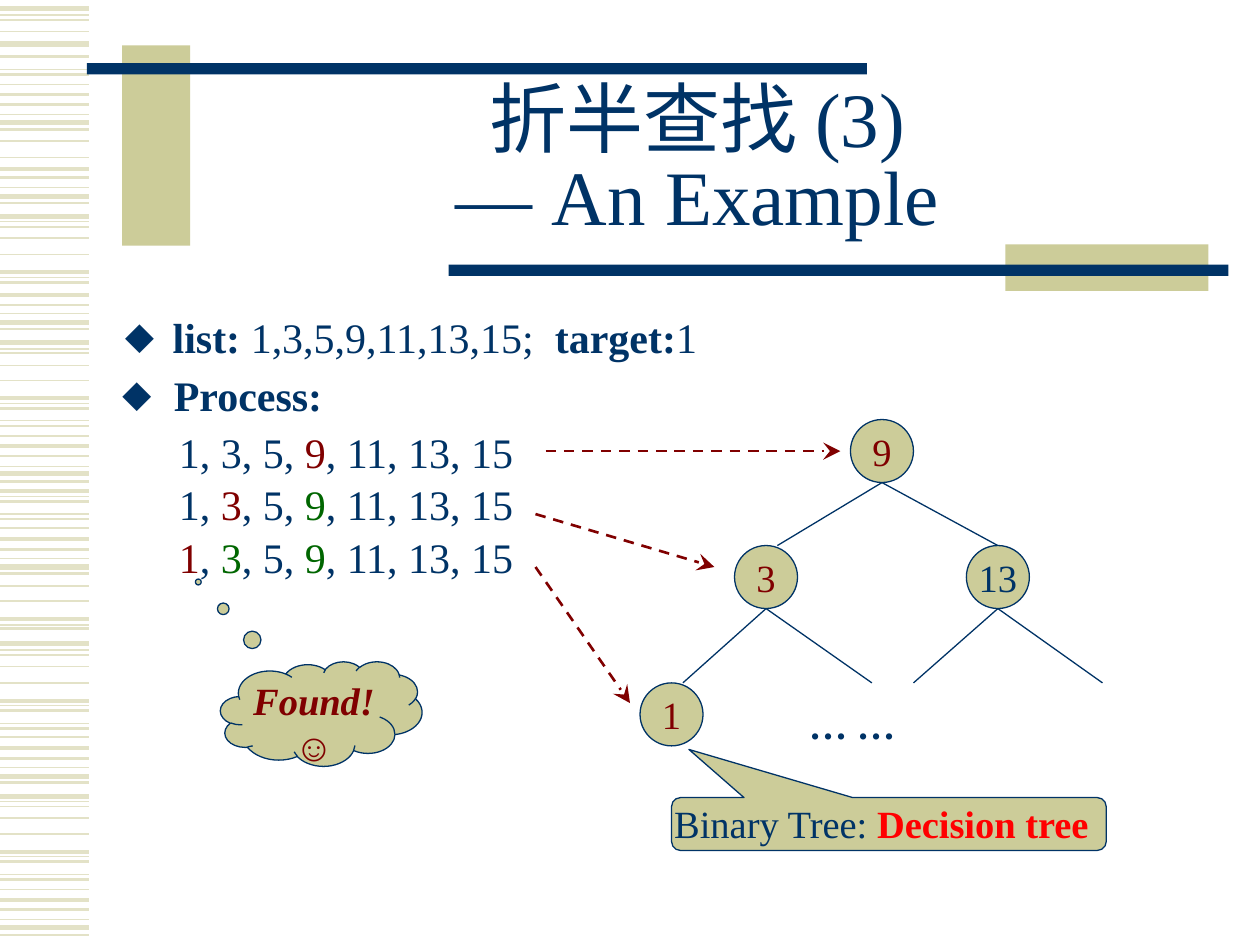
import collections
import pptx
import pptx.dml.color
import pptx.enum.dml
import pptx.enum.shapes
import pptx.enum.text
import pptx.oxml.ns
import pptx.util
from lxml import etree
from pptx.util import Inches

RGBColor = pptx.dml.color.RGBColor
NAVY = RGBColor(0x00, 0x33, 0x66)
KHAKI = RGBColor(0xCC, 0xCC, 0x99)
PALE = RGBColor(0xE3, 0xE2, 0xC7)
MAROON = RGBColor(0x80, 0x00, 0x00)
GREEN = RGBColor(0x00, 0x66, 0x00)
RED = RGBColor(0xFF, 0x00, 0x00)
FONT = "Times New Roman"
BULLET_FONT = "Arial"
SHAPE = pptx.enum.shapes.MSO_SHAPE
ALIGN = pptx.enum.text.PP_ALIGN
ANCHOR = pptx.enum.text.MSO_ANCHOR

Box = collections.namedtuple("Box", "left top width height")
Span = collections.namedtuple("Span", "text color bold italic", defaults=(NAVY, False, False))

STRIPES = {
    3: [0.07, 0.35, 0.97, 1.56, 1.72, 2.56, 2.72, 3.76, 4.5, 5.11, 6.16, 6.32, 7.36],
    2.25: [0.75, 1.34, 2.16, 2.34, 3.16, 3.54, 3.9, 4.28, 4.91, 5.56, 5.94, 6.76, 7.14],
    1.5: [0.45, 0.59, 0.83, 1.03, 1.41, 1.61, 2.24, 2.42, 2.61, 3.24, 3.38, 3.62, 3.82,
          3.98, 4.12, 4.36, 4.55, 4.99, 5.64, 5.78, 6.02, 6.21, 6.84, 6.98, 7.22, 7.42],
    1: [0.16, 0.25, 0.67, 1.12, 1.25, 1.8, 1.89, 2.02, 2.8, 2.9, 3.02, 3.46, 4.19,
        4.65, 4.77, 5.2, 5.29, 5.42, 5.85, 6.4, 6.49, 6.62, 7.06],
    0.75: [0.12, 0.55, 0.91, 1.49, 1.76, 2.2, 2.49, 2.77, 3.2, 3.34, 3.7, 3.94, 4.08,
           4.43, 4.96, 5.16, 5.6, 5.74, 6.09, 6.36, 6.8, 6.94, 7.3],
}


def add_child(parent, tag, **attributes):
    return etree.SubElement(parent, pptx.oxml.ns.qn(tag), attributes)


def place(shape, box):
    shape.left, shape.top, shape.width, shape.height = map(Inches, box)


def write(para, spans, size):
    for item in spans:
        span = para.add_run()
        span.text = item.text
        span.font.name = FONT
        span.font.size = pptx.util.Pt(size)
        span.font.bold = item.bold
        span.font.italic = item.italic
        span.font.color.rgb = item.color


def add_bullet(para, indent):
    para.space_before = pptx.util.Pt(5)
    properties = para._p.get_or_add_pPr()
    properties.set("marL", str(Inches(indent)))
    properties.set("indent", str(-Inches(indent)))
    add_child(add_child(properties, "a:buClr"), "a:srgbClr", val=str(NAVY))
    add_child(properties, "a:buFont", typeface=BULLET_FONT)
    add_child(properties, "a:buChar", char="⬥")


def prepare_frame(frame, anchor):
    frame.margin_left = frame.margin_right = frame.margin_top = frame.margin_bottom = 0
    frame.word_wrap = True
    frame.vertical_anchor = anchor


def add_text(page, box, spans, size):
    frame = page.shapes.add_textbox(*map(Inches, box)).text_frame
    prepare_frame(frame, ANCHOR.MIDDLE)
    write(frame.paragraphs[0], spans, size)
    return frame.paragraphs[0]


def add_filled(page, kind, box, fill, outlined=True):
    shape = page.shapes.add_shape(kind, *map(Inches, box))
    shape.shadow.inherit = False
    shape.fill.solid()
    shape.fill.fore_color.rgb = fill
    if outlined:
        shape.line.color.rgb = NAVY
        shape.line.width = pptx.util.Pt(0.75)
    else:
        shape.line.fill.background()
    return shape


def add_line(page, start, end, color=NAVY, width=0.75, arrow=False):
    line = page.shapes.add_connector(
        pptx.enum.shapes.MSO_CONNECTOR.STRAIGHT, *map(Inches, (*start, *end)))
    line.line.color.rgb = color
    line.line.width = pptx.util.Pt(width)
    if arrow:
        line.line.dash_style = pptx.enum.dml.MSO_LINE.DASH
        add_child(line.line._get_or_add_ln(), "a:tailEnd", type="stealth", w="lg", len="lg")
    add_child(line._element.spPr, "a:effectLst")


def add_stripes(page, box):
    for width, heights in STRIPES.items():
        for y in heights:
            add_line(page, (box.left, box.top + y), (box.left + box.width, box.top + y), PALE, width)


def add_title(page, box):
    for left, top, width, height, fill in (
        (-0.53, -0.31, 0.54, 1.59, KHAKI),
        (-0.81, -0.17, 6.19, 0.09, NAVY),
        (6.48, 1.27, 1.61, 0.37, KHAKI),
        (2.06, 1.43, 6.19, 0.09, NAVY),
    ):
        bar = Box(box.left + left, box.top + top, width, height)
        add_filled(page, SHAPE.RECTANGLE, bar, fill, outlined=False)
    title = page.shapes.title
    place(title, box)
    frame = title.text_frame
    frame.text = "折半查找 (3)\v— An Example"
    frame.auto_size = pptx.enum.text.MSO_AUTO_SIZE.NONE
    frame.vertical_anchor = ANCHOR.MIDDLE
    para = frame.paragraphs[0]
    para.alignment = ALIGN.CENTER
    para.line_spacing = 0.85
    for span in para.runs:
        span.font.name = FONT
        span.font.size = pptx.util.Pt(44)
        span.font.color.rgb = NAVY


def add_body(page, box):
    body = page.placeholders[1]
    place(body, box)
    body.text_frame.auto_size = pptx.enum.text.MSO_AUTO_SIZE.NONE
    para = body.text_frame.paragraphs[0]
    add_bullet(para, 0.38)
    write(para, [Span("list:", bold=True), Span(" 1,3,5,9,11,13,15;  "),
                 Span("target:", bold=True), Span("1")], 24)


def add_process(page, box):
    heading = Box(box.left, box.top, 1.67, 0.42)
    add_bullet(add_text(page, heading, [Span("Process:", bold=True)], 24), 0.41)
    rows = (
        [Span("1, 3, 5, "), Span("9", MAROON), Span(", 11, 13, 15")],
        [Span("1, "), Span("3", MAROON), Span(", 5, "), Span("9", GREEN), Span(", 11, 13, 15")],
        [Span("1", MAROON), Span(", "), Span("3", GREEN), Span(", 5, "),
         Span("9", GREEN), Span(", 11, 13, 15")],
    )
    for index, spans in enumerate(rows):
        add_text(page, Box(box.left + 0.45, box.top + 0.5 + index * 0.415, 2.83, 0.33), spans, 24)
    for x1, y1, x2, y2 in ((3.36, 0.66, 5.7, 0.66), (3.28, 1.16, 4.7, 1.58), (3.28, 1.58, 4.03, 2.66)):
        add_line(page, (box.left + x1, box.top + y1), (box.left + x2, box.top + y2),
                 MAROON, 1.5, arrow=True)


def add_tree(page, box):
    size = 0.5
    for label, color, x, y, ends in (
        ("9", MAROON, 1.67, 0, [(1.09, 1), (2.84, 1)]),
        ("3", MAROON, 0.75, 1, [(0.34, 2.09), (1.84, 2.09)]),
        ("13", NAVY, 2.59, 1, [(2.17, 2.09), (3.67, 2.09)]),
        ("1", MAROON, 0, 2.09, []),
    ):
        left, top = box.left + x, box.top + y
        node = add_filled(page, SHAPE.OVAL, Box(left, top, size, size), KHAKI)
        prepare_frame(node.text_frame, ANCHOR.MIDDLE)
        node.text_frame.word_wrap = False
        para = node.text_frame.paragraphs[0]
        para.alignment = ALIGN.CENTER
        write(para, [Span(label, color)], 22)
        for end_x, end_y in ends:
            add_line(page, (left + size / 2, top + size), (box.left + end_x, box.top + end_y))
    add_text(page, Box(box.left + 1.34, box.top + 2.17, 2.17, 0.5), [Span("… …", bold=True)], 22)


def add_callout(page, kind, box, adjustments, lines, alignment):
    callout = add_filled(page, kind, box, KHAKI)
    for index, value in enumerate(adjustments):
        callout.adjustments[index] = value
    frame = callout.text_frame
    prepare_frame(frame, ANCHOR.TOP)
    for index, spans in enumerate(lines):
        para = frame.add_paragraph() if index else frame.paragraphs[0]
        para.alignment = alignment
        write(para, spans, 22)


def main():
    deck = pptx.Presentation()
    deck.slide_width, deck.slide_height = Inches(10), Inches(7.5)
    page = deck.slides.add_slide(deck.slide_layouts[1])
    add_stripes(page, Box(0, 0, 0.71, 7.5))
    add_title(page, Box(1.5, 0.67, 8.07, 1.25))
    add_body(page, Box(0.89, 2.42, 8.7, 4.41))
    add_process(page, Box(0.97, 2.92, 5.7, 2.66))
    add_callout(page, SHAPE.CLOUD_CALLOUT, Box(1.75, 5.25, 1.6, 0.83), (-0.61, -1.26),
                [[Span("Found!", MAROON, True, True)], [Span("☺", MAROON, True)]], ALIGN.CENTER)
    add_tree(page, Box(5.08, 3.33, 3.67, 2.67))
    add_callout(page, SHAPE.ROUNDED_RECTANGULAR_CALLOUT, Box(5.33, 6.33, 3.45, 0.42),
                (-0.46, -1.41, 0.17),
                [[Span("Binary Tree: "), Span("Decision tree", RED, True)]], ALIGN.LEFT)
    deck.save("out.pptx")


if __name__ == "__main__":
    main()
